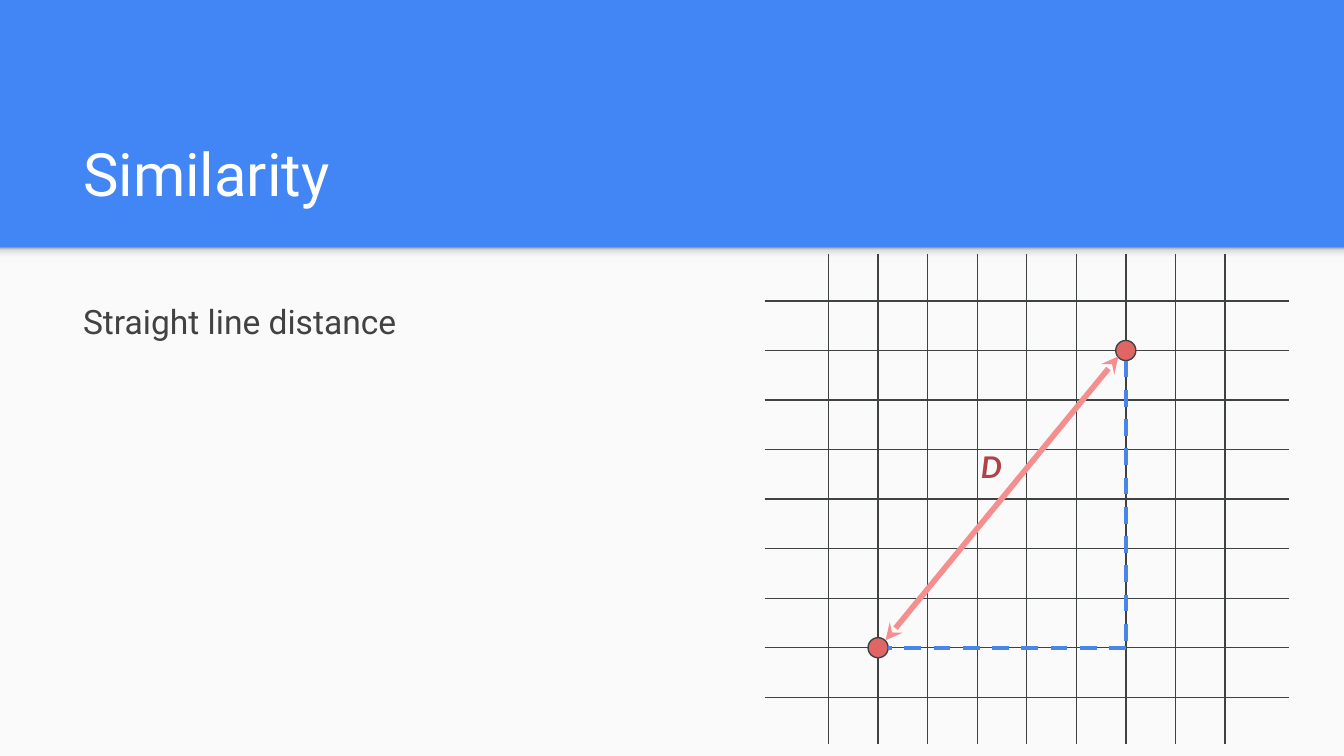
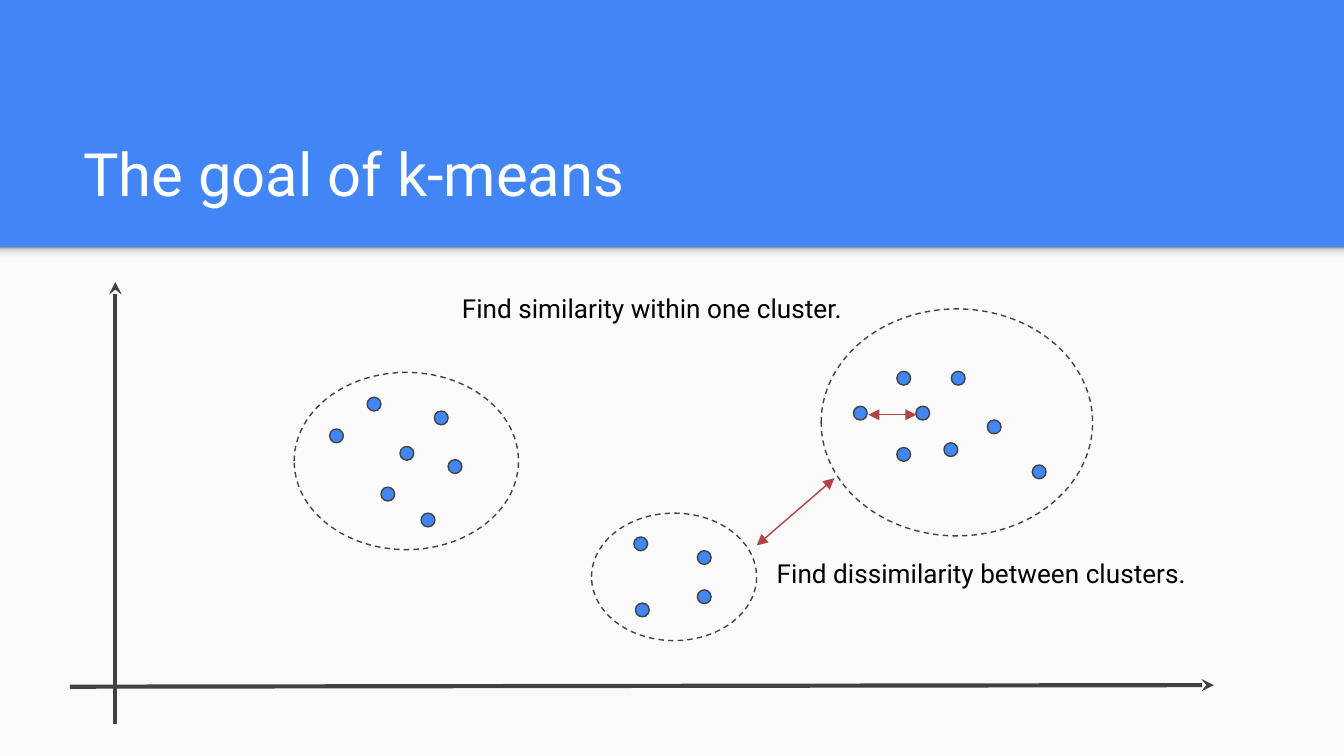
from lxml import etree
from pptx import Presentation
from pptx.dml.color import RGBColor
from pptx.enum import dml, shapes, text
from pptx.oxml.ns import qn
from pptx.util import Cm, Pt

COLORS = {
    "blue": "4285F4",
    "dash_blue": "4A86E8",
    "paper": "FAFAFA",
    "white": "FFFFFF",
    "black": "000000",
    "text": "424242",
    "line": "3E4342",
    "red": "AF4345",
    "pink": "F58F8F",
    "coral": "E06666",
}
SHADOW_STOPS = [(0, "F9F9F9"), (36, "F9F9F9"), (80, "DEDEDE"), (100, "999999")]
WIDTH, HEIGHT = 25.4, 14.29
BAND_BOTTOM = 4.67
MARGIN = 1.32


def rgb(name):
    return RGBColor.from_string(COLORS[name])


class Deck:
    """Holds the style and the current slide; all lengths are in centimetres."""

    def __init__(self):
        self.prs = Presentation()
        self.prs.slide_width, self.prs.slide_height = Cm(WIDTH), Cm(HEIGHT)
        fill = self.prs.slide_master.background.fill
        fill.solid()
        fill.fore_color.rgb = rgb("blue")
        self.s = None

    def slide(self, title):
        self.s = self.prs.slides.add_slide(self.prs.slide_layouts[5])
        self.shape("RECTANGLE", 0, BAND_BOTTOM, WIDTH, HEIGHT - BAND_BOTTOM, "paper")
        self.band_shadow()
        sp = self.s.shapes.title
        sp.left, sp.top, sp.width, sp.height = Cm(MARGIN), Cm(2.06), Cm(22.83), Cm(2.13)
        sp.text_frame.vertical_anchor = text.MSO_ANCHOR.BOTTOM
        self.set_text(sp, title, 32, "white")

    def band_shadow(self):
        sp = self.shape("RECTANGLE", 0, BAND_BOTTOM, WIDTH, 0.3)
        sp.fill.gradient()
        sp.fill.gradient_angle = 90
        stops = sp._element.spPr.find(".//" + qn("a:gsLst"))
        for stop in list(stops):
            stops.remove(stop)
        for pos, color in SHADOW_STOPS:
            stop = etree.SubElement(stops, qn("a:gs"), pos=str(pos * 1000))
            etree.SubElement(stop, qn("a:srgbClr"), val=color)

    def shape(self, kind, x, y, w, h, fill=None, line=None, dashed=False):
        kind = getattr(shapes.MSO_SHAPE, kind)
        sp = self.s.shapes.add_shape(kind, Cm(x), Cm(y), Cm(w), Cm(h))
        sp.shadow.inherit = False
        if fill:
            sp.fill.solid()
            sp.fill.fore_color.rgb = rgb(fill)
        else:
            sp.fill.background()
        if line:
            self.stroke(sp.line, line, 0.75, dashed)
        else:
            sp.line.fill.background()
        return sp

    def dot(self, x, y, size, fill, line):
        self.shape("OVAL", x - size / 2, y - size / 2, size, size, fill, line)

    def stroke(self, line, color, width, dashed):
        line.color.rgb = rgb(color)
        line.width = Pt(width)
        if dashed:
            line.dash_style = dml.MSO_LINE.DASH

    def line(self, start, end, color="line", width=0.75, dashed=False, head=None, tail=None):
        cx = self.s.shapes.add_connector(
            shapes.MSO_CONNECTOR.STRAIGHT, *(Cm(v) for v in (*start, *end)))
        self.stroke(cx.line, color, width, dashed)
        spPr = cx._element.spPr
        for tag, arrow in (("a:headEnd", head), ("a:tailEnd", tail)):
            if arrow:
                etree.SubElement(spPr.find(qn("a:ln")), qn(tag), type=arrow)
        etree.SubElement(spPr, qn("a:effectLst"))

    def label(self, content, x, y, w, h, size, color, font="Roboto", strong=None):
        sp = self.s.shapes.add_textbox(Cm(x), Cm(y), Cm(w), Cm(h))
        return self.set_text(sp, content, size, color, font, strong)

    def set_text(self, sp, content, size, color, font="Roboto", strong=None):
        """Fill a shape with one left-aligned run and return its paragraph."""
        tf = sp.text_frame
        tf.word_wrap = True
        tf.auto_size = text.MSO_AUTO_SIZE.NONE
        tf.margin_left = tf.margin_right = tf.margin_top = tf.margin_bottom = Cm(0.25)
        p = tf.paragraphs[0]
        p.alignment = text.PP_ALIGN.LEFT
        r = p.add_run()
        r.text = content
        r.font.name, r.font.size = font, Pt(size)
        r.font.bold = r.font.italic = strong
        r.font.color.rgb = rgb(color)
        return p


def similarity(deck):
    deck.slide("Similarity")
    p = deck.label("Straight line distance", MARGIN, 5.33, 11.84, 7.52, 18, "text")
    p.line_spacing, p.space_after = 1.15, Pt(12)

    lines, pitch = 9, 7.49 / 8
    xs = [15.66 + i * pitch for i in range(lines)]
    ys = [5.69 + i * pitch for i in range(lines)]
    for y in ys:
        deck.line((14.45, y), (24.36, y))
    for x in xs:
        deck.line((x, 4.8), (x, 14.07))

    left, right, top, bottom = xs[1], xs[6], ys[1], ys[7]
    for x, y in ((left, bottom), (right, top)):
        deck.dot(x, y, 0.38, "coral", "line")
    deck.line((right - 0.14, top + 0.11), (left + 0.14, bottom - 0.14), "pink", 3,
              head="stealth", tail="stealth")
    deck.line((right, top + 0.19), (right, bottom), "dash_blue", 2.25, dashed=True)
    deck.line((right, bottom), (left + 0.19, bottom), "dash_blue", 2.25, dashed=True)
    deck.label("D", 18.29, 8.23, 0.89, 1.19, 16, "red", "Lato", strong=True)


def goal(deck):
    clusters = [
        ((5.56, 7.04, 4.24, 3.35),
         [(7.07, 7.64), (6.36, 8.24), (8.34, 7.9), (7.33, 9.34),
          (7.69, 8.57), (8.6, 8.82), (8.09, 9.83)]),
        ((15.52, 5.84, 5.13, 4.29),
         [(16.26, 7.81), (18.11, 7.15), (17.08, 8.59), (17.44, 7.81),
          (18.79, 8.07), (17.08, 7.15), (17.97, 8.5), (19.64, 8.92)]),
        ((11.18, 9.7, 3.12, 2.41),
         [(13.31, 11.28), (12.11, 10.28), (12.14, 11.53), (13.31, 10.54)]),
    ]
    deck.slide("The goal of k-means")
    deck.line((2.18, 13.69), (2.18, 5.33), width=2.25, tail="stealth")
    deck.line((MARGIN, 12.98), (22.94, 12.95), width=2.25, tail="stealth")
    for ring, points in clusters:
        for x, y in points:
            deck.dot(x, y, 0.26, "blue", "text")
        deck.shape("OVAL", *ring, line="text", dashed=True)
    for start, end in (((16.41, 7.84), (17.32, 7.84)), ((14.3, 10.31), (15.77, 9.04))):
        deck.line(start, end, "red", head="triangle", tail="triangle")
    deck.label("Find similarity within one cluster.", 8.48, 5.28, 8.18, 1.12, 14, "black")
    deck.label("Find dissimilarity between clusters.", 14.43, 10.29, 8.86, 1.12, 14, "black")


def main():
    deck = Deck()
    similarity(deck)
    goal(deck)
    deck.prs.save("out.pptx")


if __name__ == "__main__":
    main()
